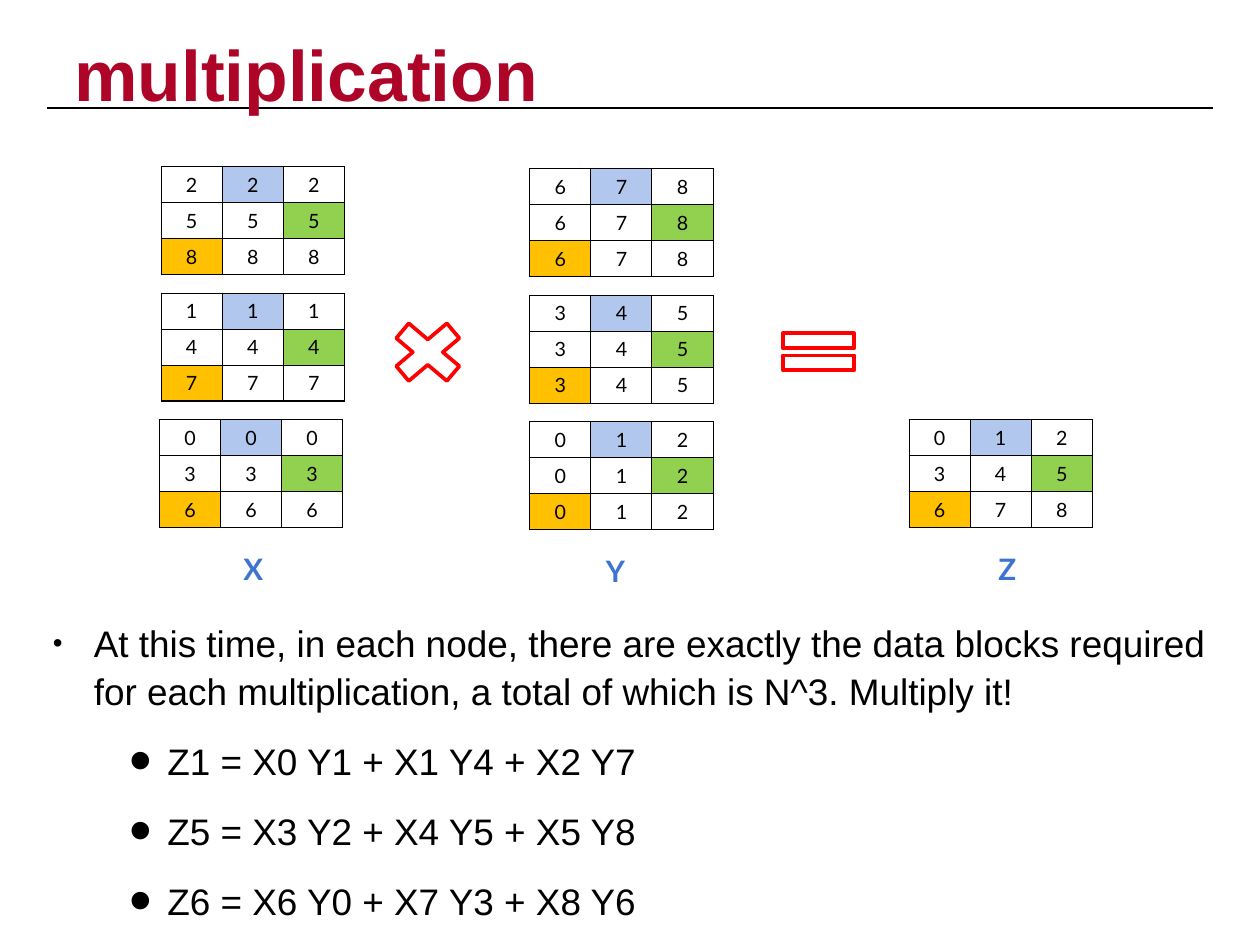
from lxml import etree
from pptx import Presentation
from pptx import util as u
from pptx.dml.color import RGBColor
from pptx.enum import shapes, text
from pptx.oxml import ns

BLACK, RED, CRIMSON, LABEL_BLUE = "000000", "FF0000", "AE0428", "3E74D1"
HIGHLIGHTS = {(0, 1): "B2C7ED", (1, 2): "92D050", (2, 0): "FFC000"}


def color(hex_value):
    return RGBColor.from_string(hex_value)


def style(paragraph, size, font, hex_value, bold=False):
    for run in paragraph.runs:
        run.font.size = u.Pt(size)
        run.font.name = font
        run.font.bold = bold
        run.font.color.rgb = color(hex_value)


prs = Presentation()
prs.slide_width, prs.slide_height = u.Cm(36.12), u.Cm(27.1)
slide = prs.slides.add_slide(prs.slide_layouts[6])

# Title and rule
rule = slide.shapes.add_connector(
    shapes.MSO_CONNECTOR.STRAIGHT, u.Cm(1.35), u.Cm(3.1), u.Cm(34.77), u.Cm(3.1))
rule.line.color.rgb = color(BLACK)
rule.line.width = u.Pt(2)
etree.SubElement(rule._element.spPr, ns.qn("a:effectLst"))

title = slide.shapes.add_textbox(u.Cm(1.98), u.Cm(0.48), u.Cm(32.18), u.Cm(2.36)).text_frame
title.word_wrap = True
title.margin_left = title.margin_right = u.Cm(0.15)
title.margin_top, title.margin_bottom = u.Cm(0.38), 0
title.text = "multiplication"
style(title.paragraphs[0], 58, "Arial", CRIMSON, bold=True)

# Explanation and block products
explanation = slide.shapes.add_textbox(u.Cm(1.37), u.Cm(17.55), u.Cm(33.38), u.Cm(8.7)).text_frame
explanation.word_wrap = True
explanation.margin_left = explanation.margin_right = u.Cm(0.15)
explanation.margin_top = explanation.margin_bottom = u.Cm(0.15)
explanation.text = "\n".join([
    "At this time, in each node, there are exactly the data blocks required "
    "for each multiplication, a total of which is N^3. Multiply it!",
    "Z1 = X0 Y1 + X1 Y4 + X2 Y7",
    "Z5 = X3 Y2 + X4 Y5 + X5 Y8",
    "Z6 = X6 Y0 + X7 Y3 + X8 Y6",
])
for index, paragraph in enumerate(explanation.paragraphs):
    level, margin, hanging, bullet_size = (1, 3.28, 1.09, 175) if index else (0, 1.17, 1.17, 75)
    paragraph.level = level
    paragraph.line_spacing = 1.08
    paragraph.space_before = u.Pt(18 if index else 0)
    properties = paragraph._p.get_or_add_pPr()
    properties.set("marL", str(u.Cm(margin)))
    properties.set("indent", str(-u.Cm(hanging)))
    etree.SubElement(properties, ns.qn("a:buSzPct"), val=str(bullet_size * 1000))
    etree.SubElement(properties, ns.qn("a:buFont"), typeface="Arial")
    etree.SubElement(properties, ns.qn("a:buChar"), char="•")
    style(paragraph, 30, "Arial", BLACK)

# Matrix layers: left, top and the rule for the value at (row, column)
layers = [(26.06, 12.04, lambda row, column: 3 * row + column)]
for layer in range(3):
    x_left = 4.62 if layer else 4.57
    layers.append((x_left, 12.04 - 3.63 * layer, lambda row, column, k=layer: 3 * row + k))
    layers.append((15.19, 12.1 - 3.63 * layer, lambda row, column, k=layer: 3 * k + column))

for left, top, value in layers:
    matrix = slide.shapes.add_table(
        3, 3, u.Cm(left), u.Cm(top), u.Cm(5.25), u.Cm(3.09)).table
    matrix.first_row = matrix.horz_banding = False
    for row in range(3):
        matrix.rows[row].height = u.Cm(1.03)
        matrix.columns[row].width = u.Cm(1.75)
        for column in range(3):
            cell = matrix.cell(row, column)
            cell.text = str(value(row, column))
            cell.vertical_anchor = text.MSO_ANCHOR.MIDDLE
            cell.text_frame.paragraphs[0].alignment = text.PP_ALIGN.CENTER
            style(cell.text_frame.paragraphs[0], 16, "Lato", BLACK)
            for side in ("a:lnL", "a:lnR", "a:lnT", "a:lnB"):
                border = etree.SubElement(
                    cell._tc.get_or_add_tcPr(), ns.qn(side), w=str(u.Pt(1)))
                fill = etree.SubElement(border, ns.qn("a:solidFill"))
                etree.SubElement(fill, ns.qn("a:srgbClr"), val=BLACK)
            if (row, column) in HIGHLIGHTS:
                cell.fill.solid()
                cell.fill.fore_color.rgb = color(HIGHLIGHTS[row, column])
            else:
                cell.fill.background()

# Matrix names
for name, left, top in [("X", 6.73, 15.67), ("Y", 17.12, 15.72), ("Z", 28.37, 15.67)]:
    label = slide.shapes.add_textbox(u.Cm(left), u.Cm(top), u.Cm(0.97), u.Cm(1.27)).text_frame
    label.word_wrap = False
    label.auto_size = text.MSO_AUTO_SIZE.SHAPE_TO_FIT_TEXT
    label.text = name
    style(label.paragraphs[0], 24, "Lato", LABEL_BLUE, bold=True)

# Operators
for kind, left, top, height in [
    (shapes.MSO_SHAPE.MATH_MULTIPLY, 10.87, 8.92, 2.36),
    (shapes.MSO_SHAPE.MATH_EQUAL, 22.07, 9.19, 1.8),
]:
    operator = slide.shapes.add_shape(kind, u.Cm(left), u.Cm(top), u.Cm(2.79), u.Cm(height))
    operator.shadow.inherit = False
    operator.fill.background()
    operator.line.color.rgb = color(RED)
    operator.line.width = u.Pt(3)

prs.save("out.pptx")
